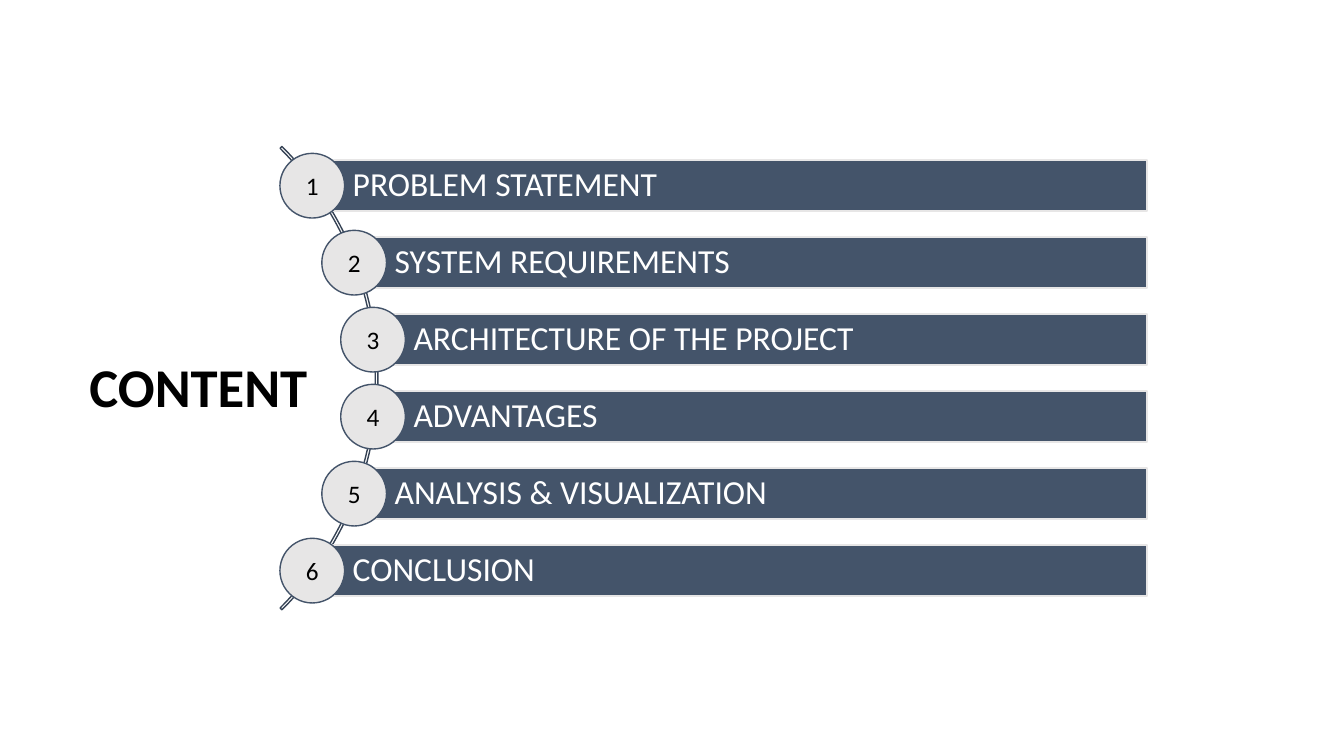
import math
from pptx import Presentation
from pptx import util as u
from pptx.dml.color import RGBColor
from pptx.enum import shapes, text

# Content
TITLE = "CONTENT"
TOPICS = [
    "PROBLEM STATEMENT",
    "SYSTEM REQUIREMENTS",
    "ARCHITECTURE OF THE PROJECT",
    "ADVANTAGES",
    "ANALYSIS & VISUALIZATION",
    "CONCLUSION",
]
COLORS = {"bar": "44546A", "pale": "E7E6E6", "arc": "364355",
          "white": "FFFFFF", "black": "000000"}
FONT = "Calibri"

# Layout in centimetres: the circles follow an arc around one centre
CENTER_X, CENTER_Y = 1.27, 9.53
ARC_SIZE, RADIUS = 16.51, 8.19
PITCH, DIAMETER = 1.94, 1.63
BAR_HEIGHT, BAR_RIGHT = 1.29, 28.9


def color(name):
    return RGBColor.from_string(COLORS[name])


def add_shape(slide, kind, box, fill, line, width):
    sp = slide.shapes.add_shape(kind, *[u.Cm(v) for v in box])
    sp.shadow.inherit = False
    if fill:
        sp.fill.solid()
        sp.fill.fore_color.rgb = color(fill)
    else:
        sp.fill.background()
    sp.line.color.rgb = color(line)
    sp.line.width = u.Pt(width)
    return sp


def set_text(sp, words, size, ink, align, spacing=1.0, bold=False):
    tf = sp.text_frame
    tf.text = words
    tf.word_wrap = True
    tf.vertical_anchor = text.MSO_ANCHOR.MIDDLE
    p = tf.paragraphs[0]
    p.alignment = align
    p.line_spacing = spacing
    font = p.runs[0].font
    font.name, font.size, font.bold = FONT, u.Pt(size), bold
    font.color.rgb = color(ink)


def set_insets(sp, left, others):
    tf = sp.text_frame
    tf.margin_left = u.Cm(left)
    tf.margin_right = tf.margin_top = tf.margin_bottom = u.Cm(others)


def main():
    prs = Presentation()
    prs.slide_width, prs.slide_height = u.Cm(33.87), u.Cm(19.05)
    s = prs.slides.add_slide(prs.slide_layouts[5])

    # Title
    title = s.shapes.title
    title.left, title.top = u.Cm(-8.97), u.Cm(9.02)
    title.width, title.height = u.Cm(27.94), u.Cm(1.7)
    set_text(title, TITLE, 39, "black", text.PP_ALIGN.CENTER, 0.8, True)

    # Thin arc from 315 to 45 degrees
    arc = add_shape(s, shapes.MSO_SHAPE.BLOCK_ARC,
                    (CENTER_X - ARC_SIZE / 2, CENTER_Y - ARC_SIZE / 2,
                     ARC_SIZE, ARC_SIZE), None, "arc", 1)
    for i, value in enumerate((189, 27, 0.004)):
        arc.adjustments[i] = value

    # Bars with numbered circles
    for i, topic in enumerate(TOPICS):
        dy = (i - (len(TOPICS) - 1) / 2) * PITCH
        x = CENTER_X + math.sqrt(RADIUS ** 2 - dy ** 2)
        y = CENTER_Y + dy

        bar = add_shape(s, shapes.MSO_SHAPE.RECTANGLE,
                        (x, y - BAR_HEIGHT / 2, BAR_RIGHT - x, BAR_HEIGHT),
                        "bar", "pale", 1.5)
        set_insets(bar, 1.02, 0.18)
        set_text(bar, topic, 24, "white", text.PP_ALIGN.LEFT, 0.9)

        circle = add_shape(s, shapes.MSO_SHAPE.OVAL,
                           (x - DIAMETER / 2, y - DIAMETER / 2,
                            DIAMETER, DIAMETER), "pale", "bar", 1)
        set_insets(circle, 0, 0)
        set_text(circle, str(i + 1), 18, "black", text.PP_ALIGN.CENTER)

    prs.save("out.pptx")


if __name__ == "__main__":
    main()
